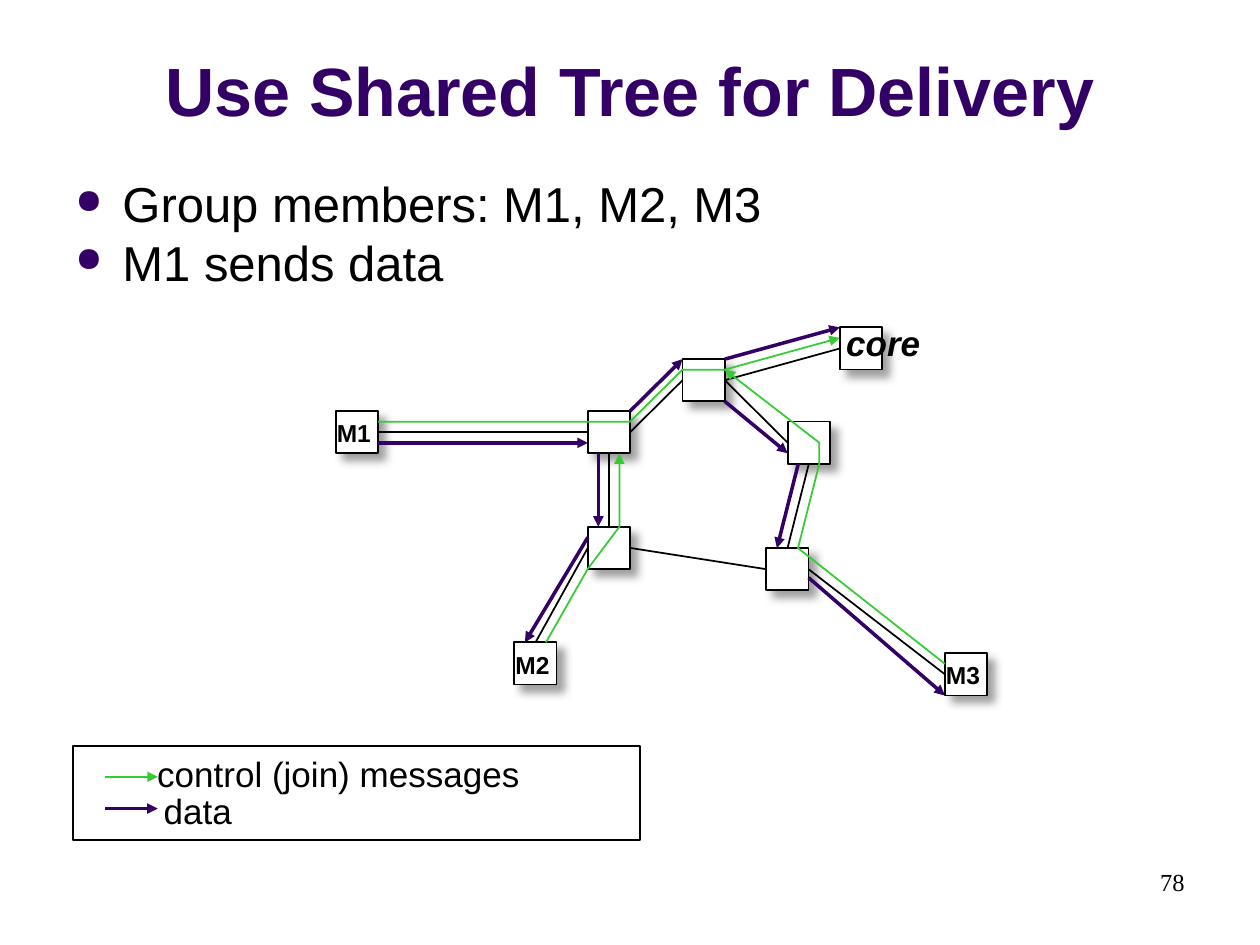
import pptx
import pptx.util
import pptx.dml.color
import pptx.enum.shapes
import pptx.enum.text
import pptx.oxml
import pptx.oxml.ns
import lxml.etree

Cm, Pt = pptx.util.Cm, pptx.util.Pt
RGB = pptx.dml.color.RGBColor.from_string
qn = pptx.oxml.ns.qn
ALIGN = pptx.enum.text.PP_ALIGN
ANCHOR = pptx.enum.text.MSO_ANCHOR
RECT = pptx.enum.shapes.MSO_SHAPE.RECTANGLE
STRAIGHT = pptx.enum.shapes.MSO_CONNECTOR.STRAIGHT
COLORS = {"purple": "330066", "green": "33CC33", "black": "000000", "white": "FFFFFF", "gray": "808080"}


def add_text(s, text, x, y, w, h, size=20, color="black", font="Arial", bold=False, italic=False,
             align=ALIGN.LEFT, anchor=ANCHOR.TOP, wrap=True, bullet=False):
    tf = s.shapes.add_textbox(Cm(x), Cm(y), Cm(w), Cm(h)).text_frame
    tf.word_wrap = wrap
    tf.vertical_anchor = anchor
    for i, line in enumerate(text.split("\n")):
        p = tf.paragraphs[0] if i == 0 else tf.add_paragraph()
        p.alignment = align
        r = p.add_run()
        r.text = line
        r.font.name, r.font.size = font, Pt(size)
        r.font.bold, r.font.italic = bold, italic
        r.font.color.rgb = RGB(COLORS[color])
        if bullet:
            p.line_spacing = 0.8
            p.space_before = Pt(6.5)
            pPr = p._p.get_or_add_pPr()
            pPr.set("marL", str(Cm(0.95)))
            pPr.set("indent", str(-Cm(0.95)))
            clr = lxml.etree.SubElement(pPr, qn("a:buClr"))
            lxml.etree.SubElement(clr, qn("a:srgbClr"), val=COLORS["purple"])
            lxml.etree.SubElement(pPr, qn("a:buSzPct"), val="70000")
            lxml.etree.SubElement(pPr, qn("a:buChar"), char="●")


def add_box(s, x, y, w, h):
    sp = s.shapes.add_shape(RECT, Cm(x), Cm(y), Cm(w), Cm(h))
    sp.shadow.inherit = False
    sp.fill.background()
    sp.line.color.rgb = RGB(COLORS["black"])
    sp.line.width = Pt(1)
    return sp


prs = pptx.Presentation()
prs.slide_width, prs.slide_height = Cm(25.4), Cm(19.05)
s = prs.slides.add_slide(prs.slide_layouts[6])

add_text(s, "Use Shared Tree for Delivery", 0, 0.33, 25.4, 2.41, size=39, color="purple", bold=True,
         align=ALIGN.CENTER, anchor=ANCHOR.BOTTOM)
add_text(s, "Group members: M1, M2, M3\nM1 sends data", 1.27, 3.61, 23.7, 13.44, size=28, bullet=True)
add_text(s, "78", 18.21, 17.35, 5.92, 1.27, size=14, font="Times New Roman", align=ALIGN.RIGHT)

SIDE = 0.85
nodes = {
    "west": (11.85, 8.29), "south": (11.85, 10.62), "southeast": (15.45, 11.05),
    "east": (15.88, 8.5), "north": (13.76, 7.24), "M2": (10.37, 12.95),
    "M3": (19.05, 13.17), "M1": (6.77, 8.29), "core": (16.93, 6.6),
}
for x, y in nodes.values():
    sp = add_box(s, x, y, SIDE, SIDE)
    sp.fill.solid()
    sp.fill.fore_color.rgb = RGB(COLORS["white"])
    effects = sp._element.spPr.find(qn("a:effectLst"))
    shadow = lxml.etree.SubElement(effects, qn("a:outerShdw"), blurRad=str(Pt(5)), dist=str(Pt(5.7)),
                                   dir="2700000", algn="ctr", rotWithShape="0")
    clr = lxml.etree.SubElement(shadow, qn("a:srgbClr"), val=COLORS["gray"])
    lxml.etree.SubElement(clr, qn("a:alpha"), val="75000")

links = [
    [("north", 1, 0.5), ("core", 0, 0.5)],
    [("north", 1, 0.5), ("east", 0, 0.5)],
    [("north", 0, 0.5), ("west", 1, 0.5)],
    [("west", 0.5, 1), ("south", 0.5, 0)],
    [("south", 1, 0.5), ("southeast", 0, 0.5)],
    [("southeast", 0.5, 0), ("east", 0.5, 1)],
    [("M1", 1, 0.5), ("west", 0, 0.5)],
    [("M2", 0.5, 0), ("south", 0, 0.5)],
    [("M3", 0, 0.5), ("southeast", 1, 0.5)],
]
joins = [
    [("M1", 1, 0.25), ("west", 1, 0.25), ("north", 0, 0.25), ("north", 1, 0.25), ("core", 0, 0.25)],
    [("M2", 0.75, 0), ("south", 0, 1), ("south", 0.75, 0), ("west", 0.75, 1)],
    [("M3", 0, 0.25), ("southeast", 0.75, 0), ("east", 0.75, 1), ("east", 0.75, 0.5), ("north", 1, 0.25)],
]
data = [
    [("M1", 1, 0.75), ("west", 0, 0.75)],
    [("west", 0.25, 1), ("south", 0.25, 0)],
    [("south", 0, 0.25), ("M2", 0.25, 0)],
    [("west", 1, 0), ("north", 0, 0)],
    [("north", 1, 1), ("east", 0, 0.75)],
    [("east", 0.25, 1), ("southeast", 0.25, 0)],
    [("southeast", 1, 0.7), ("M3", 0, 1)],
    [("north", 1, 0), ("core", 0, 0)],
]
wires = []
for routes, color, width in [(links, "black", 1), (joins, "green", 1), (data, "purple", 2)]:
    for route in routes:
        points = [(nodes[n][0] + fx * SIDE, nodes[n][1] + fy * SIDE) for n, fx, fy in route]
        wires.append((points, color, width))
wires.append(([(2.12, 15.66), (3.18, 15.66)], "green", 1))
wires.append(([(2.12, 16.3), (3.18, 16.3)], "purple", 2))

for points, color, width in wires:
    pts = [(Cm(x), Cm(y)) for x, y in points]
    if len(pts) == 2:
        sp = s.shapes.add_connector(STRAIGHT, *pts[0], *pts[1])
    else:
        fb = s.shapes.build_freeform(*pts[0], scale=1.0)
        fb.add_line_segments(pts[1:], close=False)
        sp = fb.convert_to_shape()
        sp.fill.background()
    sp.line.color.rgb = RGB(COLORS[color])
    sp.line.width = Pt(width)
    spPr = sp._element.spPr
    if color != "black":
        lxml.etree.SubElement(spPr.find(qn("a:ln")), qn("a:tailEnd"), type="triangle")
    lxml.etree.SubElement(spPr, qn("a:effectLst"))

add_text(s, "core", 16.81, 6.35, 2.18, 1.09, bold=True, italic=True, wrap=False)
for name in ("M1", "M2", "M3"):
    x, y = nodes[name]
    add_text(s, name, x - 0.23, y + 0.02, 1.19, 0.84, size=14, bold=True, wrap=False)

add_text(s, "control (join) messages", 2.92, 15.04, 7.87, 1.09, wrap=False)
add_text(s, "data", 3.05, 15.8, 1.9, 1.09, wrap=False)
add_box(s, 1.48, 15.04, 11.43, 1.9)

prs.save("out.pptx")
